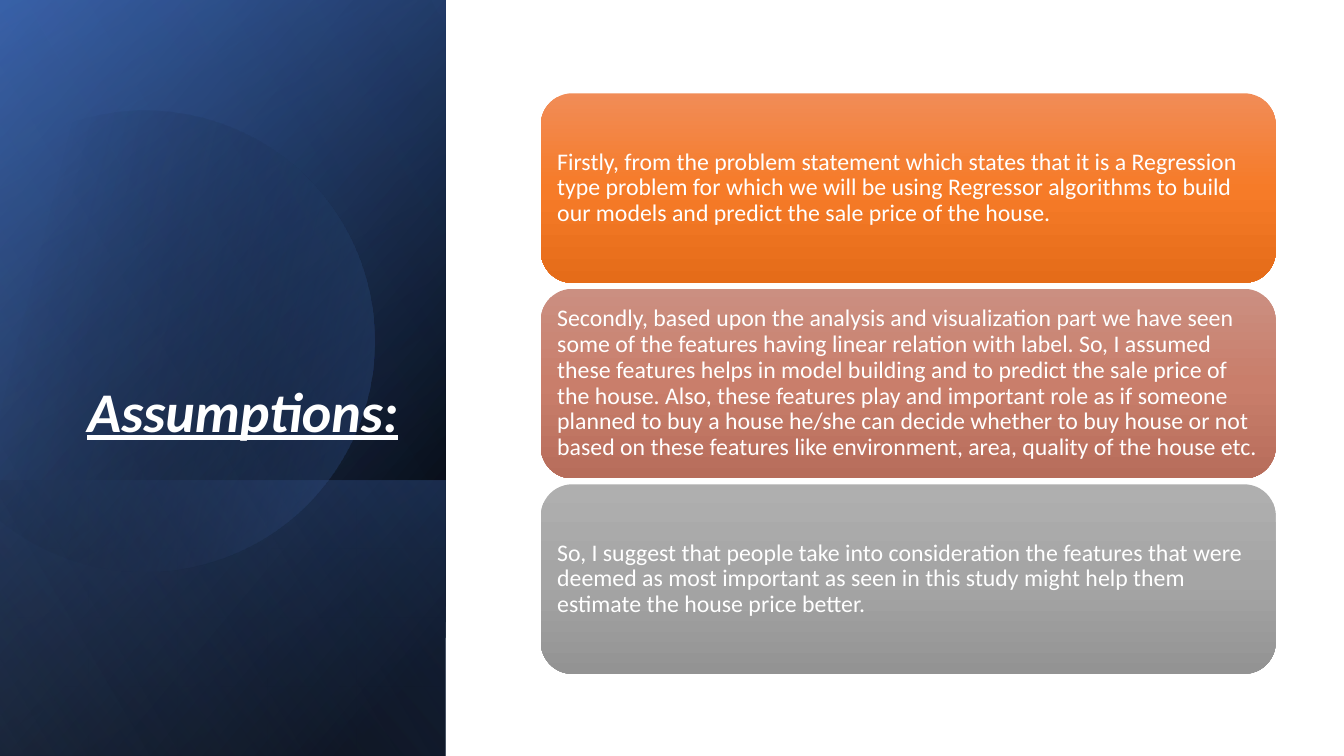
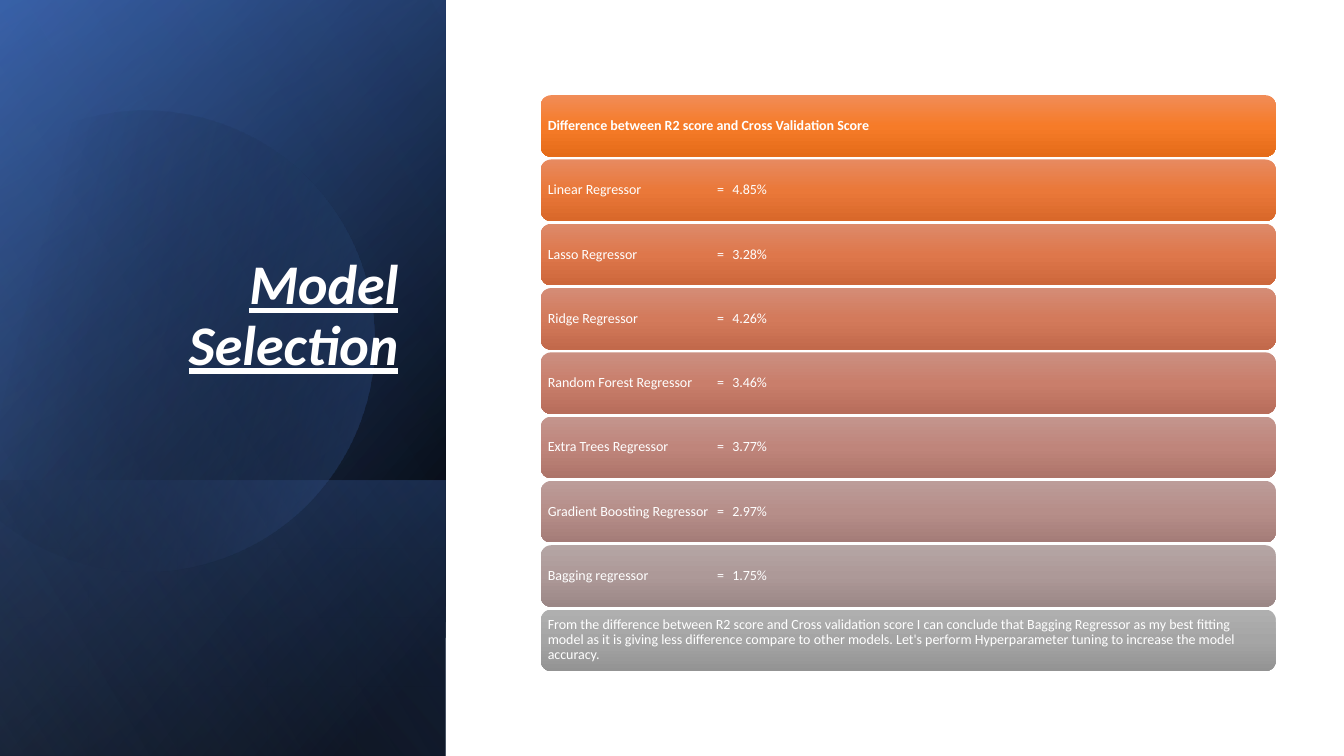
from itertools import pairwise
from math import cos, sin, tan, radians
from lxml.etree import SubElement
from pptx import Presentation
from pptx.dml.color import RGBColor
from pptx.enum.shapes import MSO_SHAPE
from pptx.enum.text import MSO_ANCHOR, PP_ALIGN
from pptx.oxml.ns import qn
from pptx.util import Cm, Pt

FONT = "Calibri"
WHITE = RGBColor(0xFF, 0xFF, 0xFF)
BLACK = RGBColor(0x00, 0x00, 0x00)
NAVY = RGBColor(0x2F, 0x55, 0x97)
BLUE = RGBColor(0x44, 0x72, 0xC4)
PALE_BLUE = RGBColor(0x8F, 0xAA, 0xDC)
CARD_COLORS = [
    [RGBColor.from_string(code) for code in codes.split()]
    for codes in (
        "F18C57 F67B28 E56C19",
        "E78A60 EA7839 D9682A",
        "DD8A6A DE774B CD673B",
        "D48C76 D37A5B C2694B",
        "CB8F81 C97E6B B76D5B",
        "C3958D BF857B AD7469",
        "BC9C99 B68E89 A47C78",
        "B5A5A4 AD9998 9B8786",
        "AFAFAF A5A5A5 939393",
    )
]

SLIDE_WIDTH, SLIDE_HEIGHT = 33.87, 19.05
PANEL_BOX = (0, 0, 11.23, SLIDE_HEIGHT)
TITLE_BOX = (1.63, 4.67, 8.66, 6.65)
TAB_STOPS = (4.27, 4.65)

ASSUMPTIONS = [
    "Firstly, from the problem statement which states that it is a Regression type problem for "
    "which we will be using Regressor algorithms to build our models and predict the sale price "
    "of the house.",
    "Secondly, based upon the analysis and visualization part we have seen some of the features "
    "having linear relation with label. So, I assumed these features helps in model building and "
    "to predict the sale price of the house. Also, these features play and important role as if "
    "someone planned to buy a house he/she can decide whether to buy house or not based on these "
    "features like environment, area, quality of the house etc.",
    "So, I suggest that people take into consideration the features that were deemed as most "
    "important as seen in this study might help them estimate the house price better.",
]
SCORES = [
    ("Linear Regressor", "4.85%"),
    ("Lasso Regressor", "3.28%"),
    ("Ridge Regressor", "4.26%"),
    ("Random Forest Regressor", "3.46%"),
    ("Extra Trees Regressor", "3.77%"),
    ("Gradient Boosting Regressor", "2.97%"),
    ("Bagging regressor", "1.75%"),
]
SCORE_HEADING = "Difference between R2 score and Cross Validation Score"
CONCLUSION = (
    "From the difference between R2 score and Cross validation score I can conclude that Bagging "
    "Regressor as my best fitting model as it is giving less difference compare to other models. "
    "Let's perform Hyperparameter tuning to increase the model accuracy."
)


def fill_gradient(shape, angle, stops):
    shape.shadow.inherit = False
    shape.line.fill.background()
    shape.fill.gradient()
    shape.fill.gradient_angle = (360 - angle) % 360
    stop_list = shape.element.spPr.find(qn("a:gradFill")).find(qn("a:gsLst"))
    for old_stop in list(stop_list):
        stop_list.remove(old_stop)
    for position, color, opacity in stops:
        stop = SubElement(stop_list, qn("a:gs"), pos=str(position * 1000))
        color_element = SubElement(stop, qn("a:srgbClr"), val=str(color))
        if opacity < 100:
            SubElement(color_element, qn("a:alpha"), val=str(opacity * 1000))


def write_text(shape, text, size=10, bold=False, italic=False, underline=False,
               align=PP_ALIGN.LEFT, anchor=MSO_ANCHOR.MIDDLE, inset=None, tabs=()):
    frame = shape.text_frame
    frame.word_wrap = True
    frame.vertical_anchor = anchor
    if inset is not None:
        frame.margin_left = frame.margin_right = Cm(inset)
        frame.margin_top = frame.margin_bottom = Cm(inset)
    paragraph = frame.paragraphs[0]
    paragraph.text = text
    paragraph.alignment = align
    if tabs:
        properties = paragraph._p.get_or_add_pPr()
        tab_list = SubElement(properties, qn("a:tabLst"))
        for position in tabs:
            SubElement(tab_list, qn("a:tab"), pos=str(Cm(position)), algn="l")
    paragraph.line_spacing = 0.9
    font = paragraph.runs[0].font
    font.name, font.size, font.color.rgb = FONT, Pt(size), WHITE
    font.bold, font.italic, font.underline = bold, italic, underline


def add_turned_rectangle(slide, box, angle, stops):
    left, top, width, height = box
    shift = (height - width) / 2
    rectangle = slide.shapes.add_shape(
        MSO_SHAPE.RECTANGLE, Cm(left - shift), Cm(top + shift), Cm(height), Cm(width))
    rectangle.rotation = 90
    rectangle.element.spPr.find(qn("a:xfrm")).set("flipH", "1")
    fill_gradient(rectangle, angle, stops)


def arc_points(center_x, center_y, radius, start, end):
    first, last = radians(start), radians(end)
    handle = 4 / 3 * tan((last - first) / 4)
    return [
        (Cm(center_x + radius * (cos(turn) - pull * sin(turn))),
         Cm(center_y + radius * (sin(turn) + pull * cos(turn))))
        for turn, pull in ((first, 0), (first, handle), (last, -handle), (last, 0))
    ]


def round_segments(shape):
    segments = shape.element.findall(".//" + qn("a:lnTo"))
    for index in range(0, len(segments), 3):
        curve, *others = segments[index:index + 3]
        curve.tag = qn("a:cubicBezTo")
        for segment in others:
            curve.append(segment[0])
            segment.getparent().remove(segment)


def add_cut_circle(slide, box, angle, stops):
    left, top = box[:2]
    arcs = [
        arc_points(left + 3.63, top + 8.49, 5.8, start, end)
        for start, end in pairwise((-118, -90, 0, 90, 150))
    ]
    builder = slide.shapes.build_freeform(*arcs[0][0])
    builder.add_line_segments([point for arc in arcs for point in arc[1:]], close=True)
    circle = builder.convert_to_shape()
    round_segments(circle)
    circle.rotation = 343.9
    fill_gradient(circle, angle, stops)


def add_panel(slide, box):
    left, top, width, height = box
    band_height = 6.95
    band_box = (left, top + height - band_height, width, band_height)
    add_turned_rectangle(slide, box, 50, [(8, BLACK, 100), (100, NAVY, 100)])
    add_turned_rectangle(slide, box, 30, [(0, BLACK, 0), (99, BLUE, 46)])
    add_turned_rectangle(slide, band_box, 130, [(2, BLUE, 29), (100, BLACK, 30)])
    add_cut_circle(slide, box, 30, [(29, BLACK, 0), (100, BLUE, 43)])
    add_turned_rectangle(slide, box, 120, [(0, BLACK, 0), (99, PALE_BLUE, 11)])


def add_title(slide, box, text, raised=0):
    left, top, width, height = box
    title = slide.shapes.add_textbox(Cm(left), Cm(top), Cm(width), Cm(height - raised))
    write_text(title, text, size=40, bold=True, italic=True, underline=True,
               align=PP_ALIGN.RIGHT, anchor=MSO_ANCHOR.BOTTOM)


def add_cards(slide, box, texts, gap, size, inset, heading=False):
    left, top, width, height = box
    card_height = (height - gap * (len(texts) - 1)) / len(texts)
    for index, text in enumerate(texts):
        card = slide.shapes.add_shape(
            MSO_SHAPE.ROUNDED_RECTANGLE, Cm(left), Cm(top + index * (card_height + gap)),
            Cm(width), Cm(card_height))
        colors = CARD_COLORS[index * (len(CARD_COLORS) - 1) // (len(texts) - 1)]
        fill_gradient(card, 90, [(place, color, 100) for place, color in zip((0, 50, 100), colors)])
        write_text(card, text, size=size, inset=inset, bold=heading and index == 0,
                   tabs=TAB_STOPS if "\t" in text else ())


def add_panel_slide(presentation, title, raised=0):
    slide = presentation.slides.add_slide(presentation.slide_layouts[6])
    add_panel(slide, PANEL_BOX)
    add_title(slide, TITLE_BOX, title, raised)
    return slide


def main():
    presentation = Presentation()
    presentation.slide_width = Cm(SLIDE_WIDTH)
    presentation.slide_height = Cm(SLIDE_HEIGHT)

    assumptions = add_panel_slide(presentation, "Assumptions:")
    add_cards(assumptions, (13.63, 2.35, 18.52, 14.63), ASSUMPTIONS, gap=0.15, size=17, inset=0.18)

    selection = add_panel_slide(presentation, "Model Selection", raised=1.68)
    score_lines = [f"{name}\t=\t{score}" for name, score in SCORES]
    add_cards(selection, (13.63, 2.4, 18.52, 14.51), [SCORE_HEADING, *score_lines, CONCLUSION],
              gap=0.07, size=10, inset=0.1, heading=True)

    presentation.save("out.pptx")


if __name__ == "__main__":
    main()
